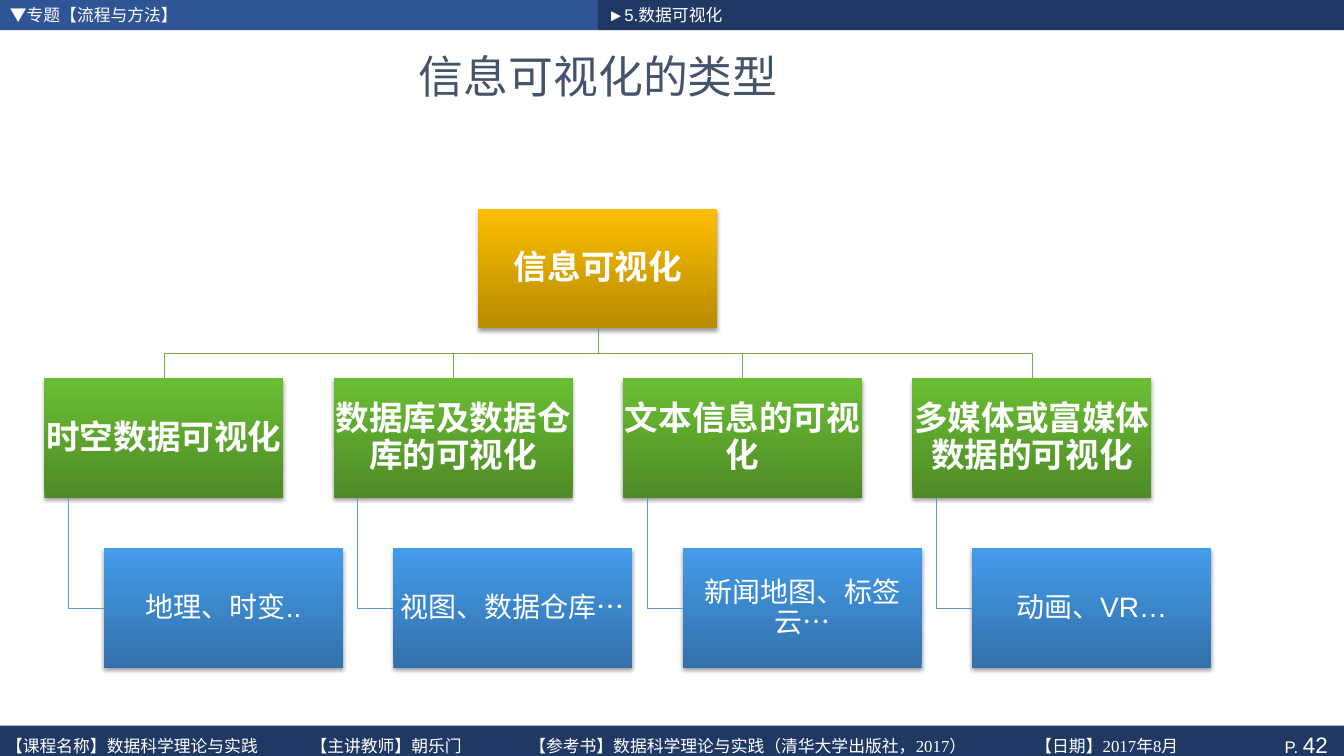
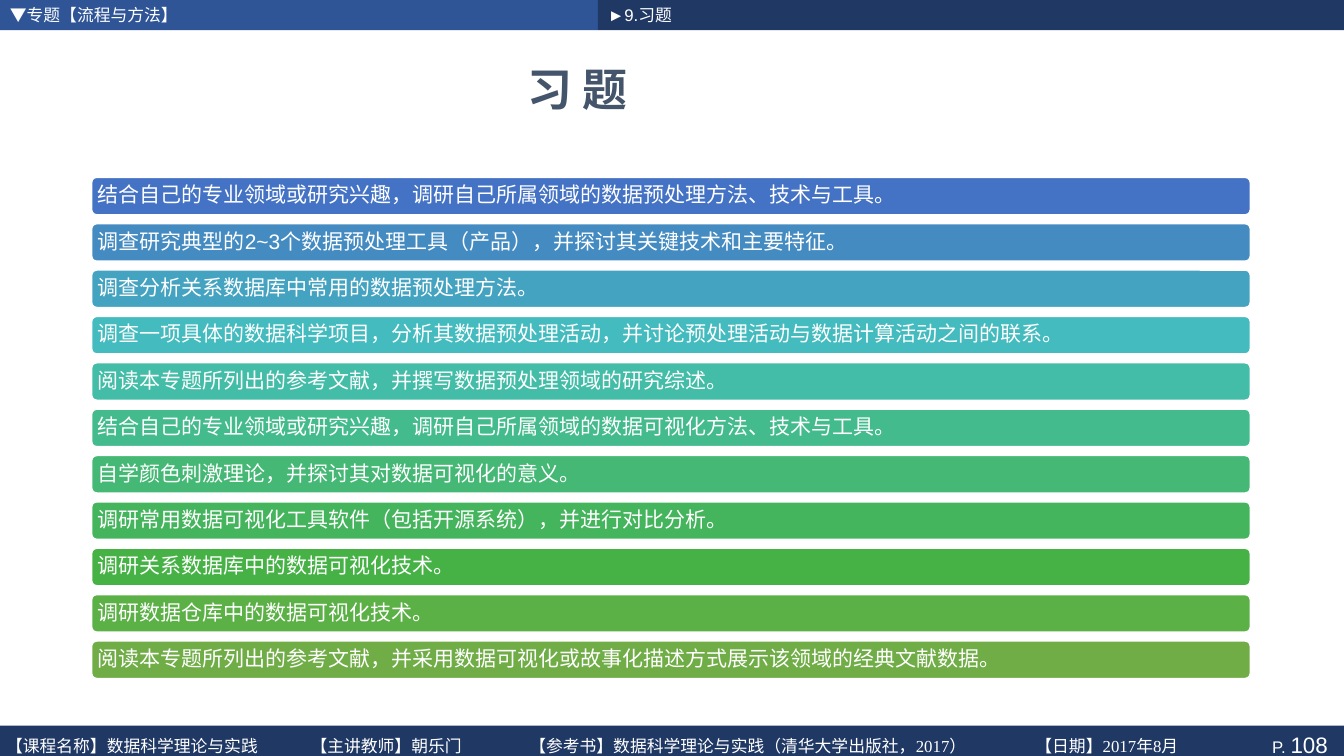
import lxml.etree
import pptx
import pptx.dml.color
import pptx.enum.shapes
import pptx.enum.text
import pptx.oxml.ns
import pptx.util

RGB = pptx.dml.color.RGBColor
SHAPE = pptx.enum.shapes.MSO_SHAPE
ALIGN = pptx.enum.text.PP_ALIGN
ANCHOR = pptx.enum.text.MSO_ANCHOR
qn = pptx.oxml.ns.qn
Inches = pptx.util.Inches
Pt = pptx.util.Pt

WHITE = RGB(0xFF, 0xFF, 0xFF)
NAVY = RGB(0x20, 0x38, 0x64)
BLUE = RGB(0x2F, 0x55, 0x97)
SLATE = RGB(0x44, 0x54, 0x6A)
GREEN_LINE = RGB(0x70, 0xAD, 0x47)
BLUE_LINE = RGB(0x5B, 0x9B, 0xD5)
# Gradients run from the bottom of a node to its top.
GOLD = (RGB(0xB8, 0x8B, 0x00), RGB(0xFD, 0xBE, 0x00))
GREEN = (RGB(0x4E, 0x8B, 0x26), RGB(0x6B, 0xBE, 0x34))
SKY = (RGB(0x32, 0x71, 0xAA), RGB(0x44, 0x9B, 0xEA))

LATIN, SERIF, CJK = "Arial", "Times New Roman", "Noto Sans CJK SC"

SLIDE_W, SLIDE_H = 13.33, 7.5
BAND_H = 0.3
BAND_SPLIT = 5.93
FOOTER_TOP = SLIDE_H - BAND_H
FOOTER_TABS = (3.02, 5.19, 10.21)
FOOTER_PARTS = (
    "【课程名称】数据科学理论与实践",
    "【主讲教师】朝乐门",
    "【参考书】数据科学理论与实践（清华大学出版社，2017）",
    "【日期】2017年8月",
)

TREE_LEFT, TREE_TOP = 0.44, 2.07
NODE_W, NODE_GAP = 2.37, 0.5
NODE_H = NODE_W / 2
ROOT = "信息可视化"
BRANCHES = (
    ("时空数据可视化", "地理、时变.."),
    ("数据库及数据仓库的可视化", "视图、数据仓库…"),
    ("文本信息的可视化", "新闻地图、标签云…"),
    ("多媒体或富媒体数据的可视化", "动画、VR…"),
)

BAR_LEFT, BAR_TOP, BAR_W, BAR_H, BAR_PITCH = 0.89, 1.74, 11.53, 0.41, 0.46
EXERCISES = (
    ("4472C4", "结合自己的专业领域或研究兴趣，调研自己所属领域的数据预处理方法、技术与工具。"),
    ("448BC2", "调查研究典型的2~3个数据预处理工具（产品），并探讨其关键技术和主要特征。"),
    ("44A3C0", "调查分析关系数据库中常用的数据预处理方法。"),
    ("43BBBF", "调查一项具体的数据科学项目，分析其数据预处理活动，并讨论预处理活动与数据计算活动之间的联系。"),
    ("43BDA7", "阅读本专题所列出的参考文献，并撰写数据预处理领域的研究综述。"),
    ("43BB8D", "结合自己的专业领域或研究兴趣，调研自己所属领域的数据可视化方法、技术与工具。"),
    ("44B874", "自学颜色刺激理论，并探讨其对数据可视化的意义。"),
    ("45B55D", "调研常用数据可视化工具软件（包括开源系统），并进行对比分析。"),
    ("46B246", "调研关系数据库中的数据可视化技术。"),
    ("5BB046", "调研数据仓库中的数据可视化技术。"),
    ("70AD47", "阅读本专题所列出的参考文献，并采用数据可视化或故事化描述方式展示该领域的经典文献数据。"),
)


def add_run(para, text, size, color=WHITE, font=LATIN, bold=False):
    span = para.add_run()
    span.text = text
    span.font.size = Pt(size)
    span.font.bold = bold
    span.font.color.rgb = color
    span.font.name = font
    east_asian = lxml.etree.SubElement(span.font._element, qn("a:ea"))
    east_asian.set("typeface", CJK)


def prepare_text(box, margins, align=ALIGN.LEFT, anchor=ANCHOR.MIDDLE):
    """Set up the text frame; margins are left, top, right, bottom."""
    frame = box.text_frame
    frame.word_wrap = True
    frame.vertical_anchor = anchor
    (frame.margin_left, frame.margin_top,
     frame.margin_right, frame.margin_bottom) = map(Inches, margins)
    para = frame.paragraphs[0]
    para.alignment = align
    return para


def add_block(page, kind, left, top, width, height, fill=None):
    box = page.shapes.add_shape(kind, *map(Inches, (left, top, width, height)))
    box.shadow.inherit = False
    box.line.fill.background()
    if fill is not None:
        box.fill.solid()
        box.fill.fore_color.rgb = fill
    return box


def add_text_box(page, left, top, width, height):
    return page.shapes.add_textbox(*map(Inches, (left, top, width, height)))


def add_header_band(page, left, width, fill, text):
    band = add_block(page, SHAPE.RECTANGLE, left, 0, width, BAND_H, fill)
    add_run(prepare_text(band, (0.1, 0, 0.1, 0)), text, 12)


def add_footer(page, number):
    band = add_block(page, SHAPE.RECTANGLE, 0, FOOTER_TOP, SLIDE_W, 0.37, NAVY)
    para = prepare_text(band, (0.1, 0.05, 0.16, 0.05), ALIGN.RIGHT, ANCHOR.TOP)
    add_run(para, "P. ", 12)
    add_run(para, str(number), 16)

    caption = add_text_box(page, -0.03, FOOTER_TOP + 0.05, 12.76, 0.28)
    para = prepare_text(caption, (0.09, 0.05, 0.1, 0.05), anchor=ANCHOR.TOP)
    tabs = lxml.etree.SubElement(para._p.get_or_add_pPr(), qn("a:tabLst"))
    for position in FOOTER_TABS:
        lxml.etree.SubElement(tabs, qn("a:tab"), pos=str(Inches(position)), algn="l")
    for index, part in enumerate(FOOTER_PARTS):
        add_run(para, "\t" + part if index else part, 12, font=SERIF)


def add_page(deck, section, number):
    """Add a blank slide with the shared bands and footer."""
    page = deck.slides.add_slide(deck.slide_layouts[6])
    add_header_band(page, 0, BAND_SPLIT, BLUE, "▼专题【流程与方法】")
    add_header_band(page, BAND_SPLIT, SLIDE_W - BAND_SPLIT, NAVY, section)
    add_footer(page, number)
    return page


def add_title(page, text, left, top, width, bold=False):
    box = add_text_box(page, left, top, width, 0.9)
    para = prepare_text(box, (0.1, 0.05, 0.1, 0.05), ALIGN.CENTER)
    add_run(para, text, 32, SLATE, CJK, bold)


def add_shadow(box):
    effects = box._element.spPr.find(qn("a:effectLst"))
    shadow = lxml.etree.SubElement(
        effects, qn("a:outerShdw"), blurRad=str(Pt(3.1)), dist=str(Pt(2)),
        dir="5400000", algn="ctr", rotWithShape="0")
    black = lxml.etree.SubElement(shadow, qn("a:srgbClr"), val="000000")
    lxml.etree.SubElement(black, qn("a:alpha"), val="38000")


def add_node(page, column, row, text, gradient, size, bold=True):
    """Place a tree node; column and row may be fractions of the grid."""
    box = add_block(page, SHAPE.RECTANGLE,
                    TREE_LEFT + column * (NODE_W + NODE_GAP),
                    TREE_TOP + row * (NODE_H + NODE_GAP), NODE_W, NODE_H)
    box.fill.gradient()
    box.fill.gradient_angle = 90
    for stop, color in zip(box.fill.gradient_stops, gradient):
        stop.color.rgb = color
    add_shadow(box)
    para = prepare_text(box, (0.01,) * 4, ALIGN.CENTER)
    para.line_spacing = 0.9
    add_run(para, text, size, bold=bold)
    return box


def add_bent_line(page, points, color):
    """Draw one open outline through the corner points."""
    builder = page.shapes.build_freeform(*points[0])
    builder.add_line_segments(points[1:], close=False)
    line = builder.convert_to_shape()
    line.shadow.inherit = False
    line.fill.background()
    line.line.color.rgb = color
    line.line.width = Pt(0.5)


def bottom_of(box):
    return box.top + box.height


def center_of(box):
    return box.left + box.width // 2


def join_branch(page, root, branch):
    middle_y = (bottom_of(root) + branch.top) // 2
    add_bent_line(page, [(center_of(root), bottom_of(root)),
                         (center_of(root), middle_y),
                         (center_of(branch), middle_y),
                         (center_of(branch), branch.top)], GREEN_LINE)


def join_leaf(page, branch, leaf):
    rail_x = branch.left + branch.width // 10
    middle_y = leaf.top + leaf.height // 2
    add_bent_line(page, [(rail_x, bottom_of(branch)), (rail_x, middle_y),
                         (leaf.left, middle_y)], BLUE_LINE)


def add_tree(page):
    root = add_node(page, (len(BRANCHES) - 1) / 2, 0, ROOT, GOLD, 24)
    leaf_shift = NODE_W / 4 / (NODE_W + NODE_GAP)
    for column, (kind, examples) in enumerate(BRANCHES):
        branch = add_node(page, column, 1, kind, GREEN, 24)
        leaf = add_node(page, column + leaf_shift, 2, examples, SKY, 20, bold=False)
        join_branch(page, root, branch)
        join_leaf(page, branch, leaf)


def add_exercises(page):
    for index, (color, text) in enumerate(EXERCISES):
        bar = add_block(page, SHAPE.ROUNDED_RECTANGLE, BAR_LEFT,
                        BAR_TOP + index * BAR_PITCH, BAR_W, BAR_H,
                        RGB.from_string(color))
        bar.line.color.rgb = WHITE
        bar.line.width = Pt(3.78)
        para = prepare_text(bar, (0.06, 0, 0.06, 0))
        para.line_spacing = 0.9
        add_run(para, text, 15)


def main():
    deck = pptx.Presentation()
    deck.slide_width, deck.slide_height = Inches(SLIDE_W), Inches(SLIDE_H)

    page = add_page(deck, "►5.数据可视化", 42)
    add_title(page, "信息可视化的类型", 1.99, 0.3, 7.89)
    add_tree(page)

    page = add_page(deck, "►9.习题", 108)
    add_title(page, "习 题", 0.49, 0.43, 10.48, bold=True)
    add_exercises(page)

    deck.save("out.pptx")


if __name__ == "__main__":
    main()
